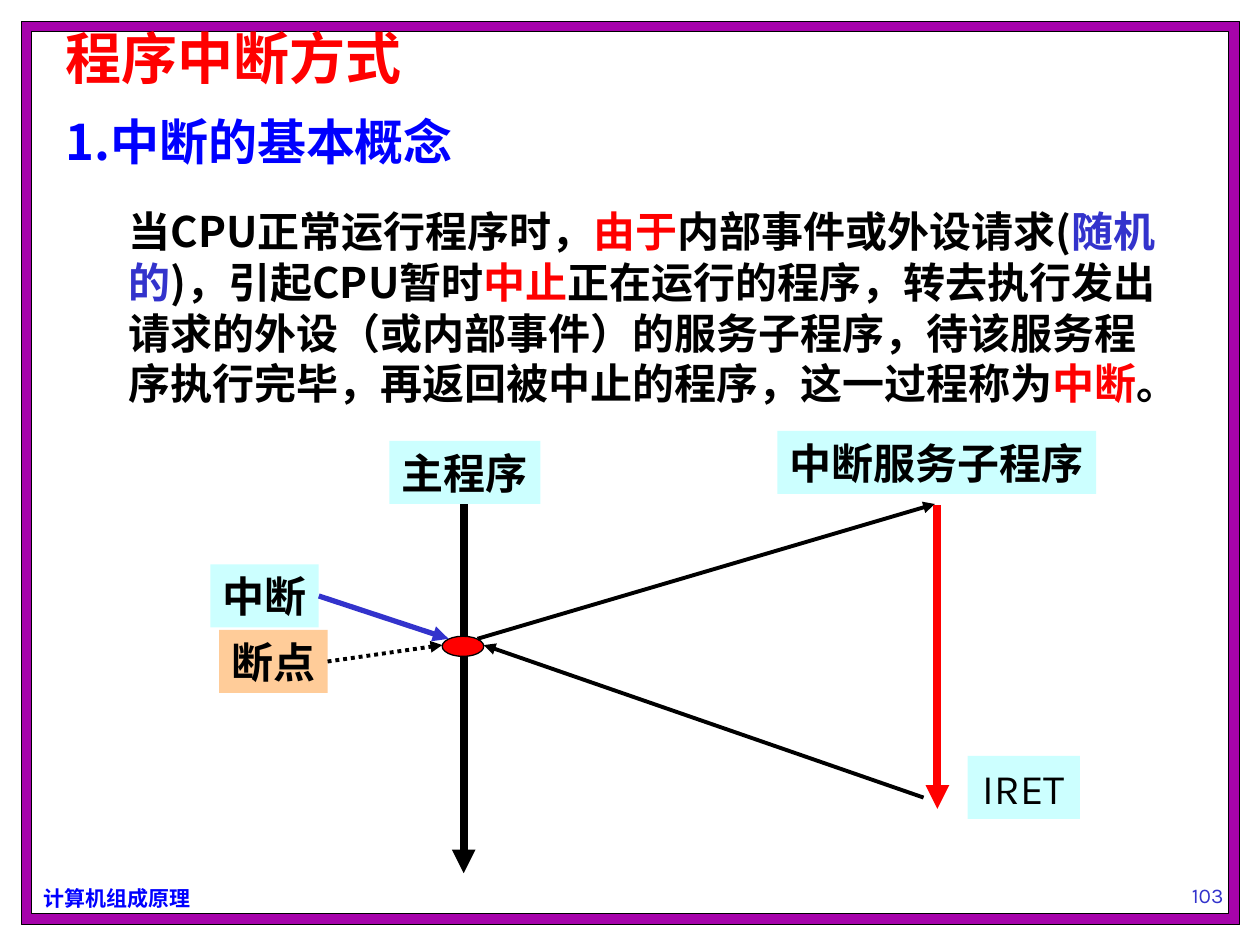
from lxml import etree
from pptx import Presentation
from pptx.dml.color import RGBColor
from pptx.enum.dml import MSO_LINE
from pptx.enum.shapes import MSO_CONNECTOR, MSO_SHAPE
from pptx.enum.text import MSO_ANCHOR, MSO_AUTO_SIZE, PP_ALIGN
from pptx.oxml.ns import qn
from pptx.util import Pt

PX = 9144
RECT = MSO_SHAPE.RECTANGLE
OVAL = MSO_SHAPE.FLOWCHART_CONNECTOR
STRAIGHT = MSO_CONNECTOR.STRAIGHT
DOT = MSO_LINE.ROUND_DOT
TOP, MIDDLE, BOTTOM = MSO_ANCHOR.TOP, MSO_ANCHOR.MIDDLE, MSO_ANCHOR.BOTTOM
LEFT, CENTER = PP_ALIGN.LEFT, PP_ALIGN.CENTER
NONE = MSO_AUTO_SIZE.NONE

BLACK = RGBColor(0, 0, 0)
WHITE = RGBColor(255, 255, 255)
PURPLE = RGBColor(0xA6, 0x03, 0xAB)
RED = RGBColor(255, 0, 0)
BLUE = RGBColor(0, 0, 255)
INDIGO = RGBColor(0x33, 0x33, 0xCC)
CYAN = RGBColor(0xCC, 0xFF, 0xFF)
PEACH = RGBColor(0xFF, 0xCC, 0x99)
NOTO, KARLA, TIMES = "Noto Sans CJK SC", "Karla", "Times New Roman"


def write(shape, parts, size, face, bold=True, align=LEFT, anchor=TOP, wrap=True):
    frame = shape.text_frame
    frame.auto_size = NONE
    frame.word_wrap = wrap
    frame.vertical_anchor = anchor
    para = frame.paragraphs[0]
    para.alignment = align
    para.space_before = Pt(0)
    for text, color in parts:
        run = para.add_run()
        run.text = text
        font = run.font
        font.size, font.bold, font.name = Pt(size), bold, face
        font.color.rgb = color
        east = etree.SubElement(run._r.get_or_add_rPr(), qn("a:ea"))
        east.set("typeface", NOTO)
    return para


def arrow(start, end, color, width, dash=None):
    line = slide.shapes.add_connector(STRAIGHT, *[v * PX for v in start + end])
    line.line.color.rgb = color
    line.line.width = Pt(width)
    if dash:
        line.line.dash_style = dash
    tip = etree.SubElement(line.line._get_or_add_ln(), qn("a:tailEnd"))
    tip.set("type", "triangle")
    etree.SubElement(line._element.spPr, qn("a:effectLst"))
    return line


deck = Presentation()
deck.slide_width, deck.slide_height = 1000 * PX, 750 * PX
slide = deck.slides.add_slide(deck.slide_layouts[3])
title, head, body = slide.placeholders

places = [(title, 42, 25, 577, 48), (head, 42, 83, 540, 57), (body, 42, 158, 900, 210)]
for holder, *place in places:
    holder.left, holder.top, holder.width, holder.height = [v * PX for v in place]

frames = [(17, 17, 967, 717, PURPLE), (25, 25, 950, 700, WHITE)]
for i, (*place, color) in enumerate(frames):
    frame = slide.shapes.add_shape(RECT, *[v * PX for v in place])
    frame.shadow.inherit = False
    frame.fill.solid()
    frame.fill.fore_color.rgb = color
    frame.line.color.rgb = BLACK
    frame.line.width = Pt(0.75)
    slide.shapes.element.insert(2 + i, frame.element)

write(title, [("程序中断方式", RED)], 32, NOTO).line_spacing = 0.9
title.text_frame.margin_top = title.text_frame.margin_bottom = 0

story = [
    ("当CPU正常运行程序时，", BLACK),
    ("由于", RED),
    ("内部事件或外设请求(", BLACK),
    ("随机的", INDIGO),
    (")，引起CPU暂时", BLACK),
    ("中止", RED),
    ("正在运行的程序，转去执行发出请求的外设（或内部事件）的服务子程序，"
     "待该服务程序执行完毕，再返回被中止的程序，这一过程称为", BLACK),
    ("中断", RED),
    ("。", BLACK),
]
lists = [(head, [("1.中断的基本概念", BLUE)], 28, 0, 34), (body, story, 24, 50, 29)]
for holder, parts, size, indent, pitch in lists:
    para = write(holder, parts, size, NOTO)
    para.line_spacing = Pt(pitch)
    props = para._p.get_or_add_pPr()
    props.set("marL", str(indent * PX))
    props.set("indent", "0")
    etree.SubElement(props, qn("a:buNone"))

course = slide.shapes.add_textbox(25 * PX, 698 * PX, 136 * PX, 30 * PX)
write(course, [("计算机组成原理", BLUE)], 12, NOTO, wrap=False)
page = slide.shapes.add_textbox(867 * PX, 675 * PX, 183 * PX, 50 * PX)
write(page, [("103", INDIGO)], 12, KARLA, False, CENTER, BOTTOM)

arrow((368, 389), (368, 693), BLACK, 4.5)

labels = [
    ("中断", 167, 448, 86, CYAN, TIMES, True),
    ("断点", 174, 500, 86, PEACH, KARLA, True),
    ("IRET", 768, 600, 89, CYAN, KARLA, False),
    ("中断服务子程序", 617, 342, 253, CYAN, KARLA, True),
    ("主程序", 309, 350, 120, CYAN, KARLA, True),
]
boxes = {}
for text, x, y, w, color, face, bold in labels:
    box = slide.shapes.add_shape(RECT, x * PX, y * PX, w * PX, 50 * PX)
    box.shadow.inherit = False
    box.fill.solid()
    box.fill.fore_color.rgb = color
    box.line.fill.background()
    write(box, [(text, BLACK)], 24, face, bold, CENTER, MIDDLE, False)
    boxes[text] = box

point = slide.shapes.add_shape(OVAL, 351 * PX, 505 * PX, 33 * PX, 16 * PX)
point.shadow.inherit = False
point.fill.solid()
point.fill.fore_color.rgb = RED
point.line.color.rgb = BLACK
point.line.width = Pt(0.75)

arrow((260, 525), (351, 512), BLACK, 2.25, DOT).begin_connect(boxes["断点"], 3)
arrow((379, 507), (742, 400), BLACK, 2.25)
arrow((733, 633), (384, 512), BLACK, 2.25)
arrow((744, 401), (744, 642), RED, 4.5)
arrow((253, 473), (356, 507), INDIGO, 3).begin_connect(boxes["中断"], 3)

deck.save("out.pptx")
